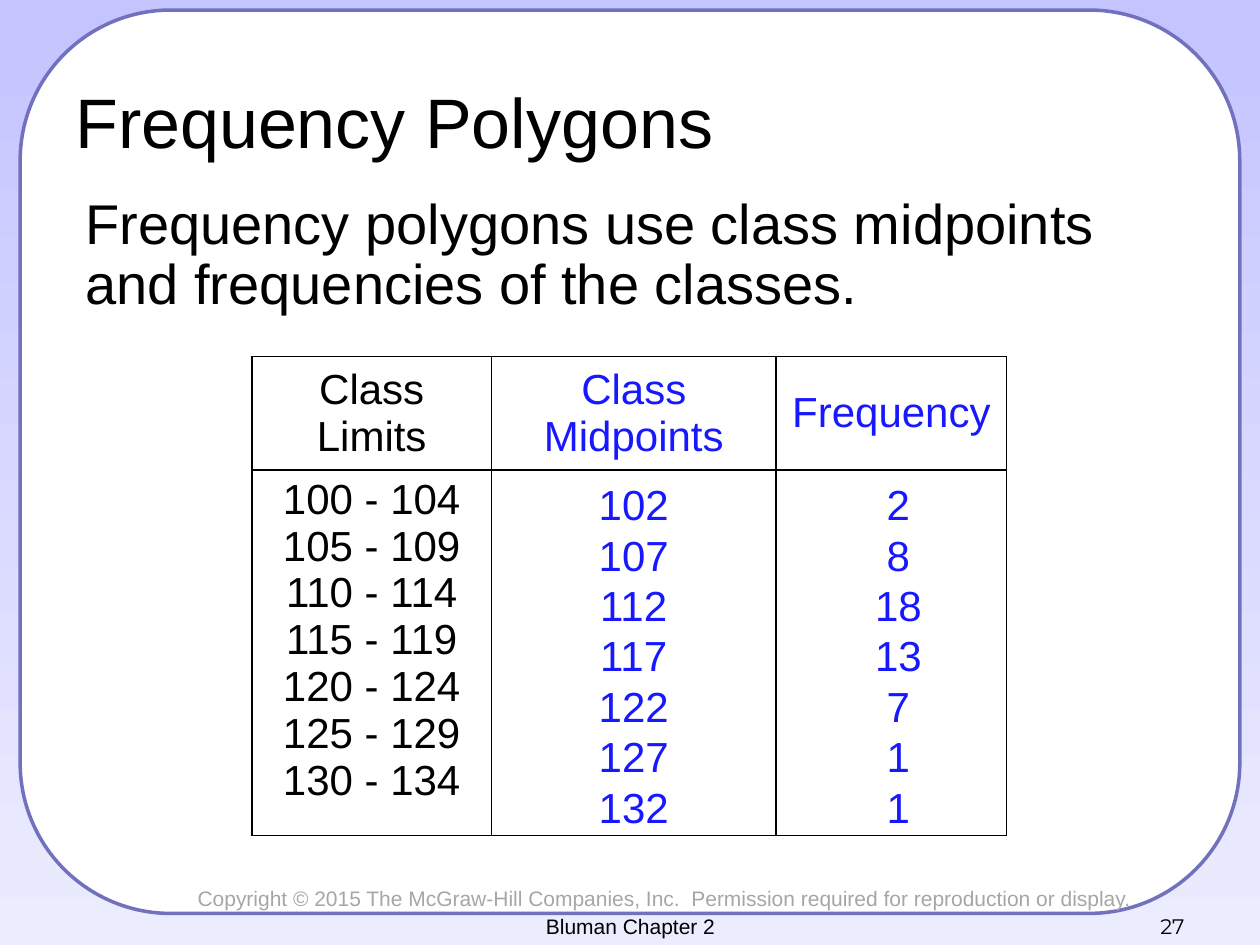
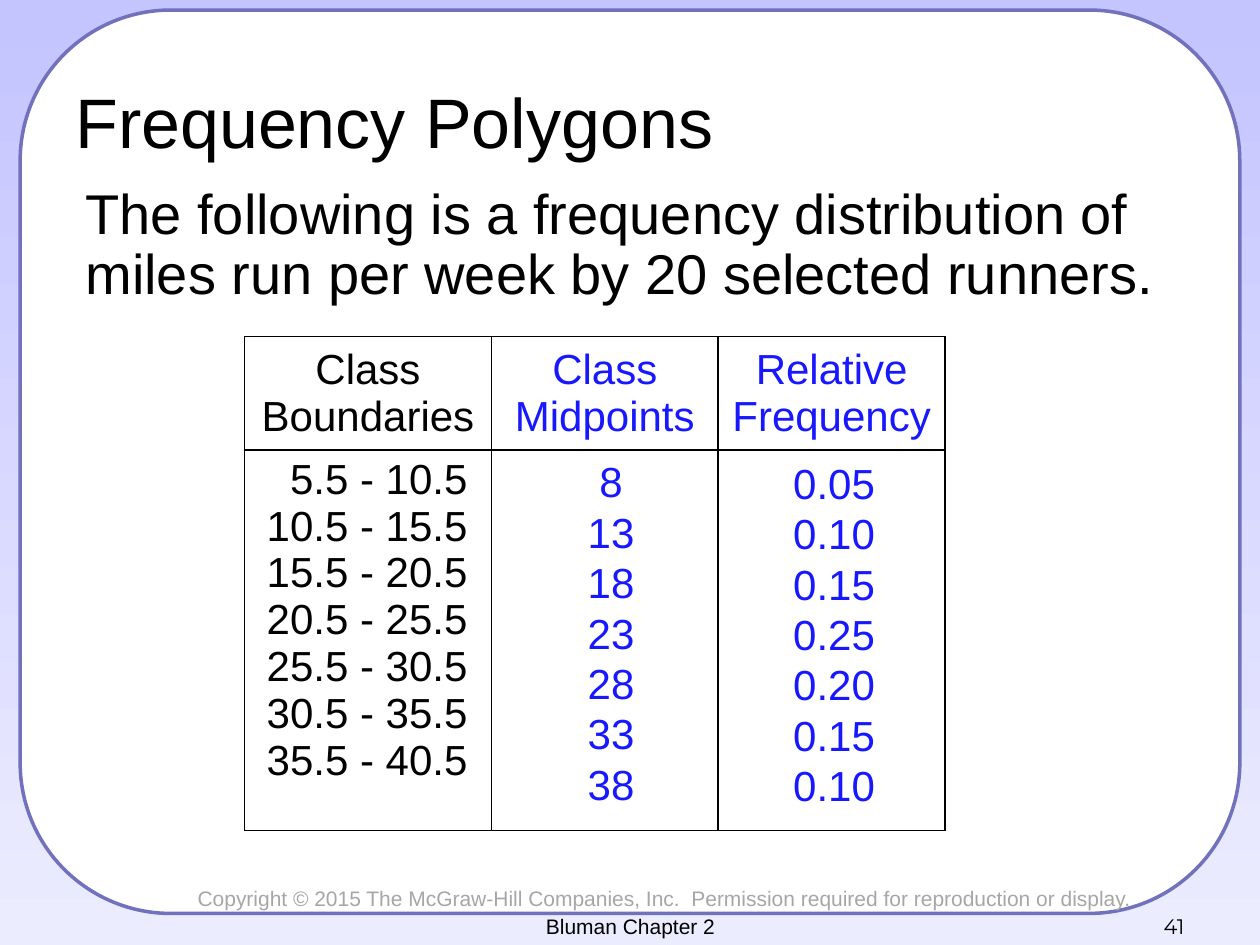
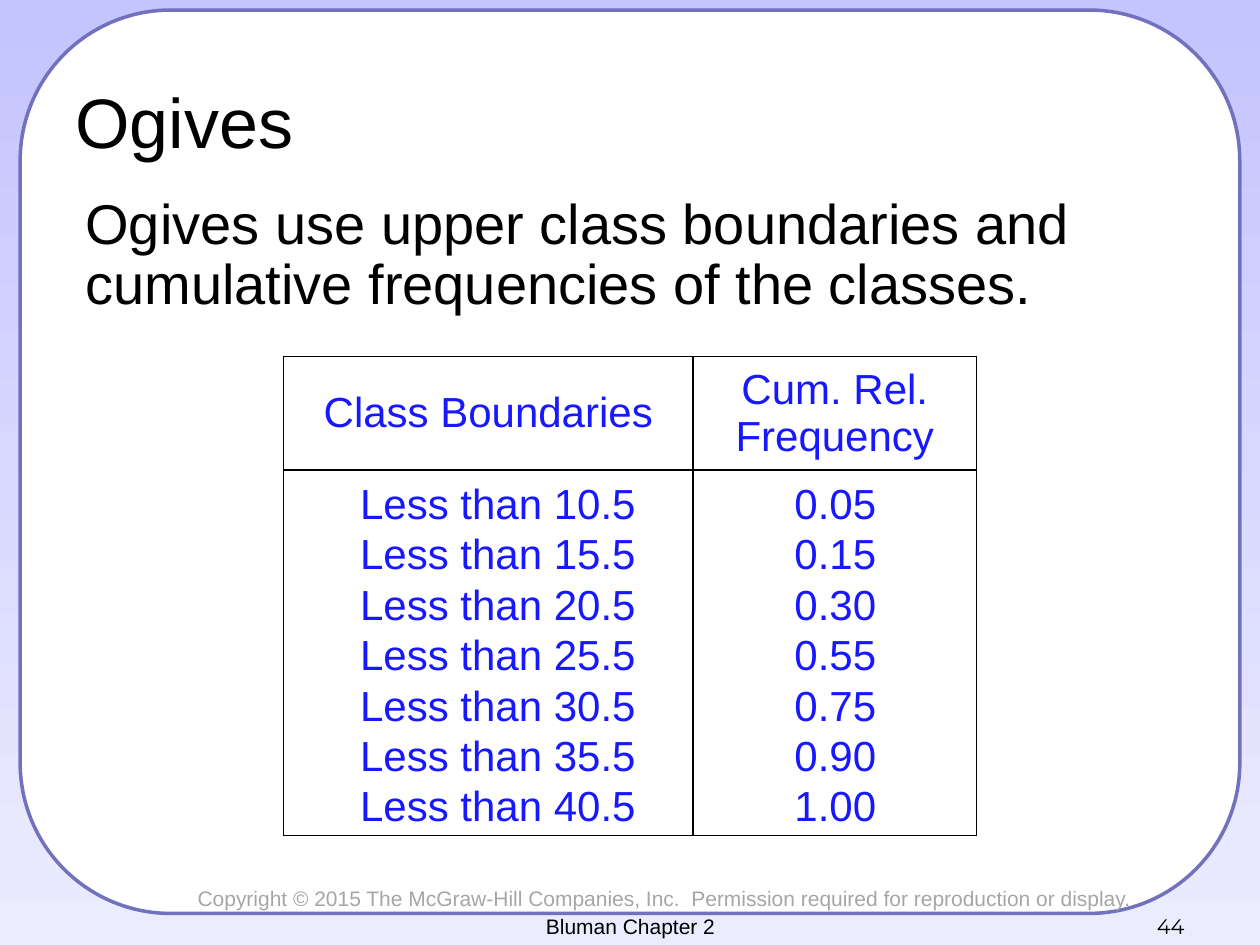
from dataclasses import dataclass

from lxml import etree
from pptx import Presentation
from pptx.dml.color import RGBColor
from pptx.enum.shapes import MSO_SHAPE
from pptx.enum.text import MSO_ANCHOR, MSO_AUTO_SIZE, PP_ALIGN
from pptx.oxml.ns import qn
from pptx.slide import Slide
from pptx.table import _Cell
from pptx.text.text import TextFrame
from pptx.util import Inches, Pt

ROUND = MSO_SHAPE.ROUNDED_RECTANGLE
TOP, MIDDLE, BOTTOM = MSO_ANCHOR.TOP, MSO_ANCHOR.MIDDLE, MSO_ANCHOR.BOTTOM
LEFT, CENTER, RIGHT = PP_ALIGN.LEFT, PP_ALIGN.CENTER, PP_ALIGN.RIGHT
GROW = MSO_AUTO_SIZE.SHAPE_TO_FIT_TEXT


@dataclass(frozen=True)
class Theme:
    black: str = "000000"
    blue: str = "1818FF"
    grey: str = "A6A6A6"
    white: str = "FFFFFF"
    frame: str = "7171BD"
    sky: str = "C4C4FF"
    haze: str = "ECECFF"
    face: str = "Arial"
    digits: str = "Montserrat"
    title: int = 40
    body: int = 32
    data: int = 24
    small: int = 12
    leading: float = 1.2


THEME = Theme()


@dataclass(frozen=True)
class Style:
    size: int
    color: str = THEME.black
    face: str = THEME.face
    align: PP_ALIGN = LEFT
    anchor: MSO_ANCHOR = TOP
    leading: float | None = THEME.leading
    wrap: bool = True


@dataclass(frozen=True)
class Box:
    left: float
    top: float
    width: float
    height: float


@dataclass(frozen=True)
class Column:
    head: str
    width: float
    color: str = THEME.blue
    cells: tuple[str, ...] = ()
    align: PP_ALIGN = CENTER
    inset: float = 0.1


@dataclass(frozen=True)
class Series:
    box: Box
    values: tuple[str, ...]
    align: PP_ALIGN = CENTER


@dataclass(frozen=True)
class Page:
    number: int
    title: str
    lead: str
    place: Box
    left: float
    top: float
    rows: tuple[float, float]
    columns: tuple[Column, ...]
    series: tuple[Series, ...]


TITLE = Style(THEME.title, anchor=MIDDLE)
LEAD = Style(THEME.body, leading=THEME.leading * 0.9)
NOTICE = Style(THEME.small, THEME.grey, wrap=False)
FOOTER = Style(THEME.small, align=CENTER, anchor=BOTTOM)
NUMBER = Style(THEME.small, face=THEME.digits, align=RIGHT, anchor=BOTTOM)

COPYRIGHT = ("Copyright © 2015 The McGraw-Hill Companies, Inc.  "
             "Permission required for reproduction or display.")

PAGES = (
    Page(27, "Frequency Polygons",
         "Frequency polygons use class midpoints and frequencies of the classes.",
         Box(0.58, 1.5, 8.33, 1.08), 2, 2.83, (0.9, 2.9),
         (Column("Class Limits", 1.9, THEME.black,
                 tuple(f"{low} - {low + 4}" for low in range(100, 135, 5))),
          Column("Class Midpoints", 2.26),
          Column("Frequency", 1.83)),
         (Series(Box(4.65, 3.75, 0.76, 2.93),
                 tuple(str(mid) for mid in range(102, 133, 5))),
          Series(Box(6.84, 3.75, 0.58, 2.93),
                 ("2", "8", "18", "13", "7", "1", "1")))),
    Page(41, "Frequency Polygons",
         "The following is a frequency distribution of miles run per week "
         "by 20 selected runners.",
         Box(0.58, 1.42, 8.83, 1.08), 1.94, 2.67, (0.9, 3.02),
         (Column("Class Boundaries", 1.96, THEME.black,
                 tuple(f"{low}.5 - {low + 5}.5" for low in range(5, 36, 5)),
                 RIGHT, 0.19),
          Column("Class Midpoints", 1.8),
          Column("Relative Frequency", 1.8)),
         (Series(Box(4.56, 3.57, 0.58, 2.93),
                 tuple(str(mid) for mid in range(8, 39, 5))),
          Series(Box(6.19, 3.58, 0.86, 2.93),
                 ("0.05", "0.10", "0.15", "0.25", "0.20", "0.15", "0.10")))),
    Page(44, "Ogives",
         "Ogives use upper class boundaries and cumulative frequencies "
         "of the classes.",
         Box(0.58, 1.5, 8.33, 1.08), 2.25, 2.83, (0.9, 2.9),
         (Column("Class Boundaries", 3.25),
          Column("Cum. Rel. Frequency", 2.25)),
         (Series(Box(2.76, 3.74, 2.41, 2.93),
                 tuple(f"Less than {top}.5" for top in range(10, 41, 5)), LEFT),
          Series(Box(6.2, 3.74, 0.86, 2.93),
                 ("0.05", "0.15", "0.30", "0.55", "0.75", "0.90", "1.00")))),
)


def paint(name: str) -> RGBColor:
    return RGBColor.from_string(name)


def span(box: Box) -> tuple[Inches, ...]:
    return tuple(Inches(n) for n in (box.left, box.top, box.width, box.height))


def write(frame: TextFrame, lines: tuple[str, ...], style: Style) -> None:
    frame.text = "\n".join(lines)
    for line in frame.paragraphs:
        line.alignment = style.align
        if style.leading:
            line.line_spacing = Pt(round(style.size * style.leading, 2))
        line.font.size = Pt(style.size)
        line.font.name = style.face
        line.font.color.rgb = paint(style.color)


def add_text(slide: Slide, box: Box, style: Style, *lines: str) -> None:
    frame = slide.shapes.add_textbox(*span(box)).text_frame
    frame.word_wrap = style.wrap
    frame.vertical_anchor = style.anchor
    if not style.wrap:
        frame.auto_size = GROW
    write(frame, lines, style)


def add_base(slide: Slide, number: int) -> None:
    fill = slide.background.fill
    fill.gradient()
    fill.gradient_angle = 270
    for stop, shade in zip(fill.gradient_stops, (THEME.sky, THEME.haze)):
        stop.color.rgb = paint(shade)
    panel = slide.shapes.add_shape(ROUND, *span(Box(0.16, 0.08, 9.68, 7.17)))
    panel.shadow.inherit = False
    panel.fill.solid()
    panel.fill.fore_color.rgb = paint(THEME.white)
    panel.line.color.rgb = paint(THEME.frame)
    panel.line.width = Pt(2)
    add_text(slide, Box(1.47, 6.98, 7.67, 0.3), NOTICE, COPYRIGHT)
    add_text(slide, Box(7.17, 7, 2.33, 0.5), NUMBER, str(number))
    add_text(slide, Box(3.42, 7, 3.17, 0.5), FOOTER, "Bluman Chapter 2")


def rule_cell(cell: _Cell) -> None:
    cell.fill.background()
    props = cell._tc.get_or_add_tcPr()
    for spot, side in enumerate(("lnL", "lnR", "lnT", "lnB")):
        edge = etree.Element(qn(f"a:{side}"), w=str(Pt(1)))
        fill = etree.SubElement(edge, qn("a:solidFill"))
        etree.SubElement(fill, qn("a:srgbClr"), val=THEME.black)
        props.insert(spot, edge)


def add_grid(slide: Slide, page: Page) -> None:
    columns = page.columns
    box = Box(page.left, page.top, sum(c.width for c in columns), sum(page.rows))
    grid = slide.shapes.add_table(2, len(columns), *span(box)).table
    grid.first_row = grid.horz_banding = False
    for row, height in zip(grid.rows, page.rows):
        row.height = Inches(height)
    for spot, column in enumerate(columns):
        grid.columns[spot].width = Inches(column.width)
        head, body = grid.cell(0, spot), grid.cell(1, spot)
        rule_cell(head)
        rule_cell(body)
        head.vertical_anchor = MIDDLE
        body.margin_right = Inches(column.inset)
        write(head.text_frame, (column.head,),
              Style(THEME.data, column.color, align=CENTER, leading=None))
        write(body.text_frame, column.cells,
              Style(THEME.data, column.color, align=column.align, leading=None))


def add_page(deck: Presentation, page: Page) -> None:
    slide = deck.slides.add_slide(deck.slide_layouts[6])
    add_base(slide, page.number)
    add_text(slide, Box(0.5, 0.5, 9, 0.92), TITLE, page.title)
    add_text(slide, page.place, LEAD, page.lead)
    add_grid(slide, page)
    for series in page.series:
        style = Style(THEME.data, THEME.blue, align=series.align, wrap=False)
        add_text(slide, series.box, style, *series.values)


def main() -> None:
    deck = Presentation()
    deck.slide_width, deck.slide_height = Inches(10), Inches(7.5)
    for page in PAGES:
        add_page(deck, page)
    deck.save("out.pptx")


if __name__ == "__main__":
    main()
